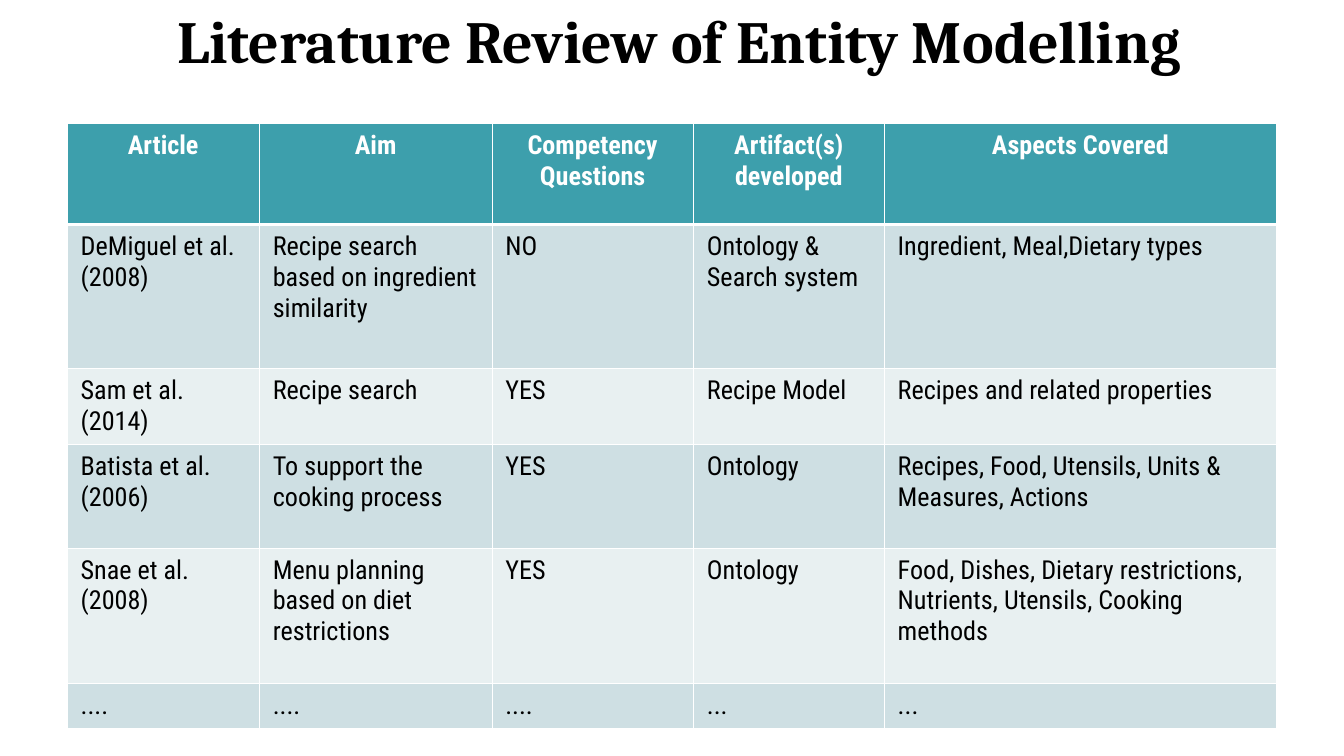
from dataclasses import dataclass

import lxml.etree
import pptx
import pptx.dml.color
import pptx.enum.text
import pptx.oxml.ns
import pptx.table
import pptx.text.text
import pptx.util

RGBColor = pptx.dml.color.RGBColor
BLACK = RGBColor(0x00, 0x00, 0x00)
WHITE = RGBColor(0xFF, 0xFF, 0xFF)
TEAL = RGBColor(0x3D, 0x9F, 0xAC)
BAND_DARK = RGBColor(0xCE, 0xDF, 0xE3)
BAND_LIGHT = RGBColor(0xE8, 0xF0, 0xF1)

# Widescreen page, 16:9
SLIDE_WIDTH = pptx.util.Inches(10)
SLIDE_HEIGHT = SLIDE_WIDTH * 9 // 16
THIN, THICK = pptx.util.Pt(0.45), pptx.util.Pt(1.47)

# Table grid in inches
TABLE_LEFT, TABLE_TOP = 0.5, 0.92
COLUMN_WIDTHS = (1.43, 1.73, 1.5, 1.42, 2.92)
ROW_HEIGHTS = (0.75, 1.07, 0.56, 0.77, 1.01, 0.31)


@dataclass(frozen=True)
class Study:
    article: str
    aim: str
    questions: str
    artifacts: str
    aspects: str

    def texts(self) -> tuple[str, ...]:
        return self.article, self.aim, self.questions, self.artifacts, self.aspects


HEADINGS = Study("Article", "Aim", "Competency Questions",
                 "Artifact(s) developed", "Aspects Covered")
STUDIES = (
    Study("DeMiguel et al. (2008)", "Recipe search based on ingredient similarity",
          "NO", "Ontology &\nSearch system", "Ingredient, Meal,Dietary types"),
    Study("Sam et al. (2014)", "Recipe search", "YES", "Recipe Model",
          "Recipes and related properties"),
    Study("Batista et al. (2006)", "To support the cooking process", "YES",
          "Ontology", "Recipes, Food, Utensils, Units & Measures, Actions"),
    Study("Snae et al. (2008)", "Menu planning based on diet restrictions", "YES",
          "Ontology",
          "Food, Dishes, Dietary restrictions, Nutrients, Utensils, Cooking methods"),
    Study("....", "....", "....", "...", "..."),
)


def write_text(frame: pptx.text.text.TextFrame, text: str, font_name: str,
               size: float, color: RGBColor, heading: bool) -> None:
    """Fill a text frame; headings are bold and centred."""
    frame.text = text
    alignment = pptx.enum.text.PP_ALIGN
    for paragraph in frame.paragraphs:
        paragraph.alignment = alignment.CENTER if heading else alignment.LEFT
        paragraph.font.name = font_name
        paragraph.font.size = pptx.util.Pt(size)
        paragraph.font.bold = heading
        paragraph.font.color.rgb = color


def draw_borders(cell: pptx.table._Cell, top: int, bottom: int) -> None:
    """Give a cell white borders, thin at the sides."""
    properties = cell._tc.get_or_add_tcPr()
    qn = pptx.oxml.ns.qn
    for side, width in (("L", THIN), ("R", THIN), ("T", top), ("B", bottom)):
        line = lxml.etree.SubElement(properties, qn(f"a:ln{side}"), w=str(int(width)))
        fill = lxml.etree.SubElement(line, qn("a:solidFill"))
        lxml.etree.SubElement(fill, qn("a:srgbClr"), val=str(WHITE))


def draw_row(table: pptx.table.Table, row: int, study: Study) -> None:
    """Write one row with its band colour and borders."""
    heading = row == 0
    band = TEAL if heading else (BAND_LIGHT, BAND_DARK)[row % 2]
    for column, text in enumerate(study.texts()):
        cell = table.cell(row, column)
        draw_borders(cell, THICK if row == 1 else THIN, THICK if heading else THIN)
        cell.fill.solid()
        cell.fill.fore_color.rgb = band
        write_text(cell.text_frame, text, "Roboto Condensed", 14,
                   WHITE if heading else BLACK, heading)


def main() -> None:
    deck = pptx.Presentation()
    deck.slide_width, deck.slide_height = SLIDE_WIDTH, SLIDE_HEIGHT
    page = deck.slides.add_slide(deck.slide_layouts[6])
    inches = pptx.util.Inches

    # Title
    title = page.shapes.add_textbox(inches(-0.28), inches(-0.02),
                                    inches(10.67), inches(0.94))
    title.text_frame.word_wrap = True
    write_text(title.text_frame, "Literature Review of Entity Modelling",
               "Cambria", 32, BLACK, True)

    # Review table
    table = page.shapes.add_table(
        len(ROW_HEIGHTS), len(COLUMN_WIDTHS), inches(TABLE_LEFT), inches(TABLE_TOP),
        inches(sum(COLUMN_WIDTHS)), inches(sum(ROW_HEIGHTS))).table
    for column, width in zip(table.columns, COLUMN_WIDTHS):
        column.width = inches(width)
    for row, height in zip(table.rows, ROW_HEIGHTS):
        row.height = inches(height)
    for number, study in enumerate((HEADINGS, *STUDIES)):
        draw_row(table, number, study)

    deck.save("out.pptx")


if __name__ == "__main__":
    main()
